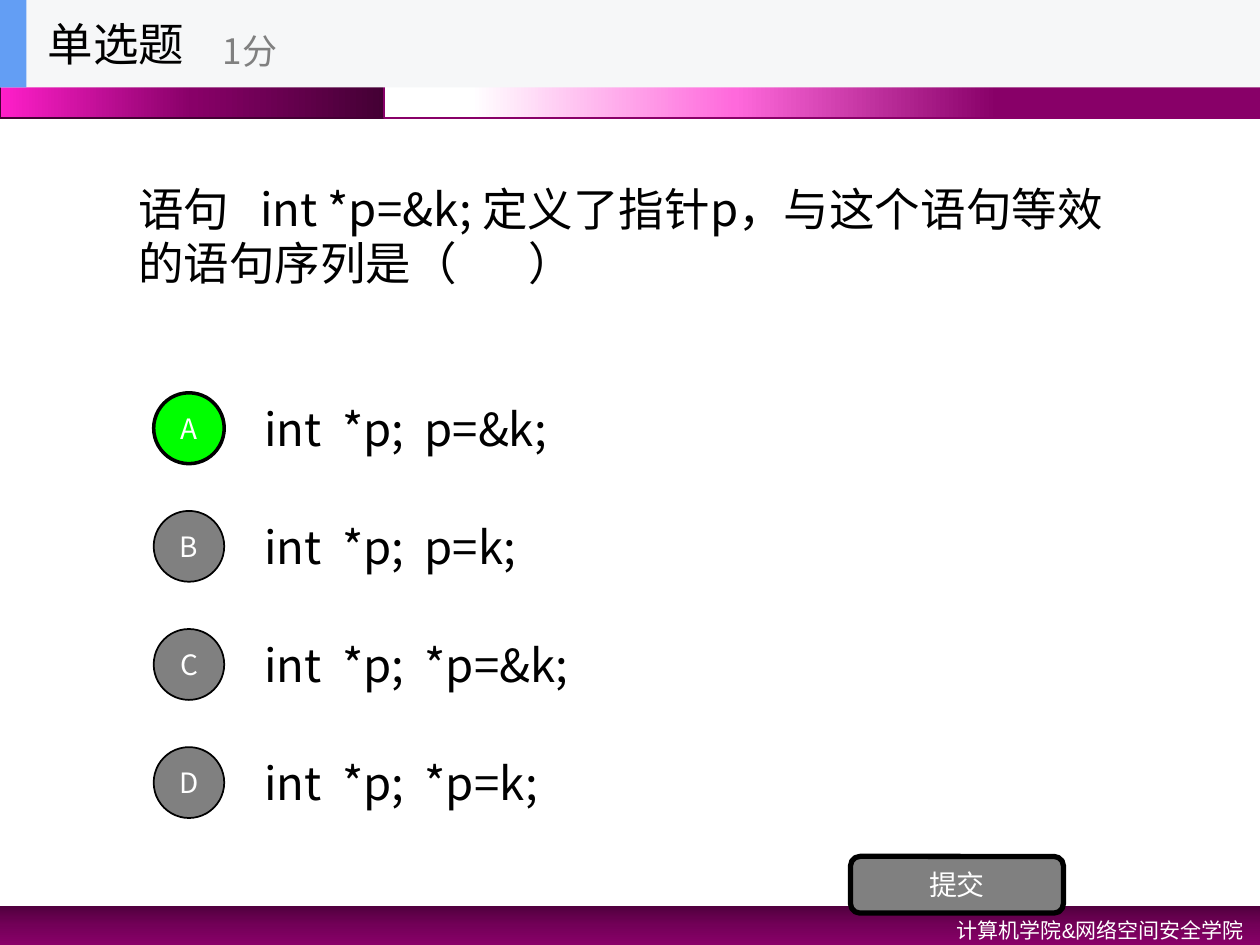
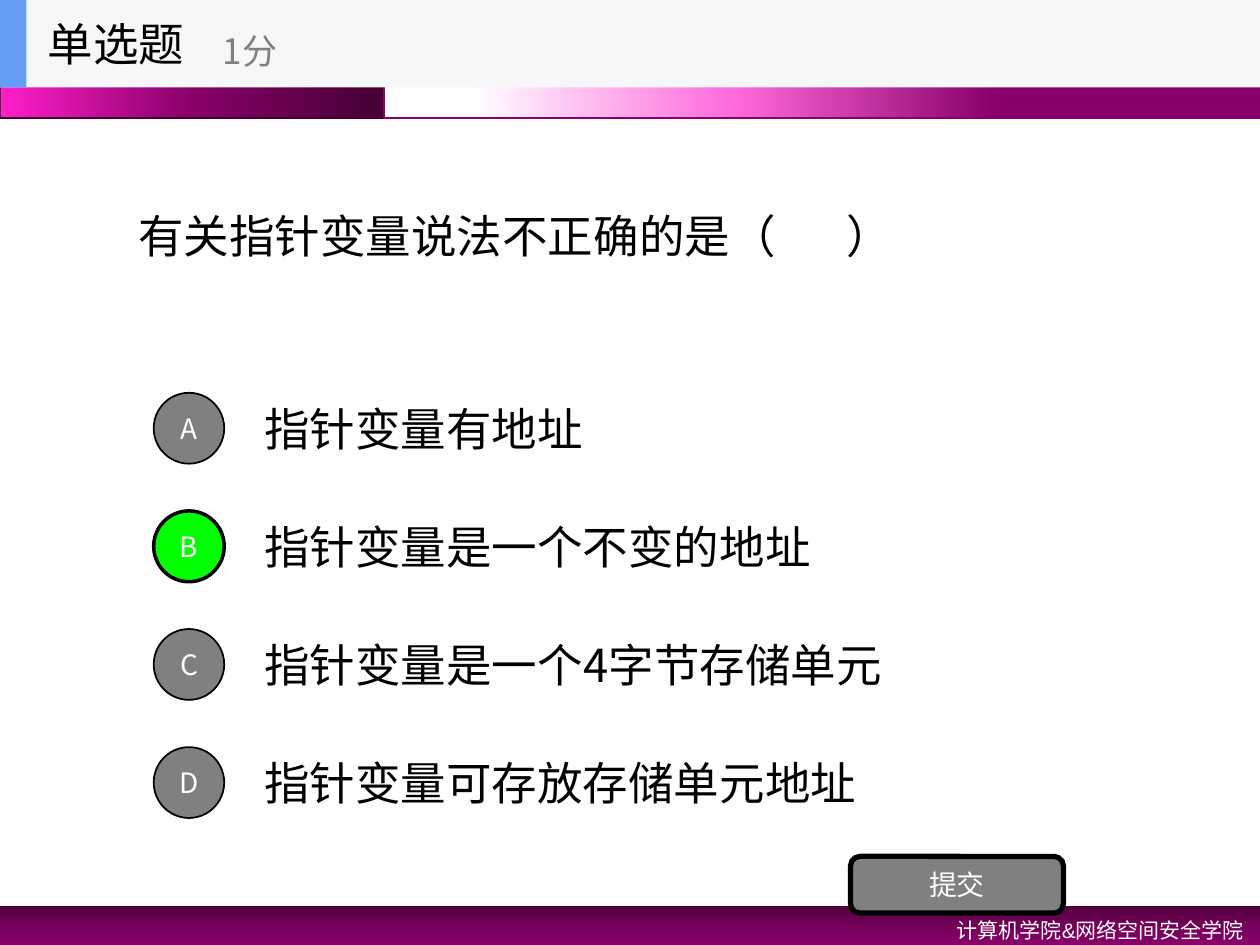
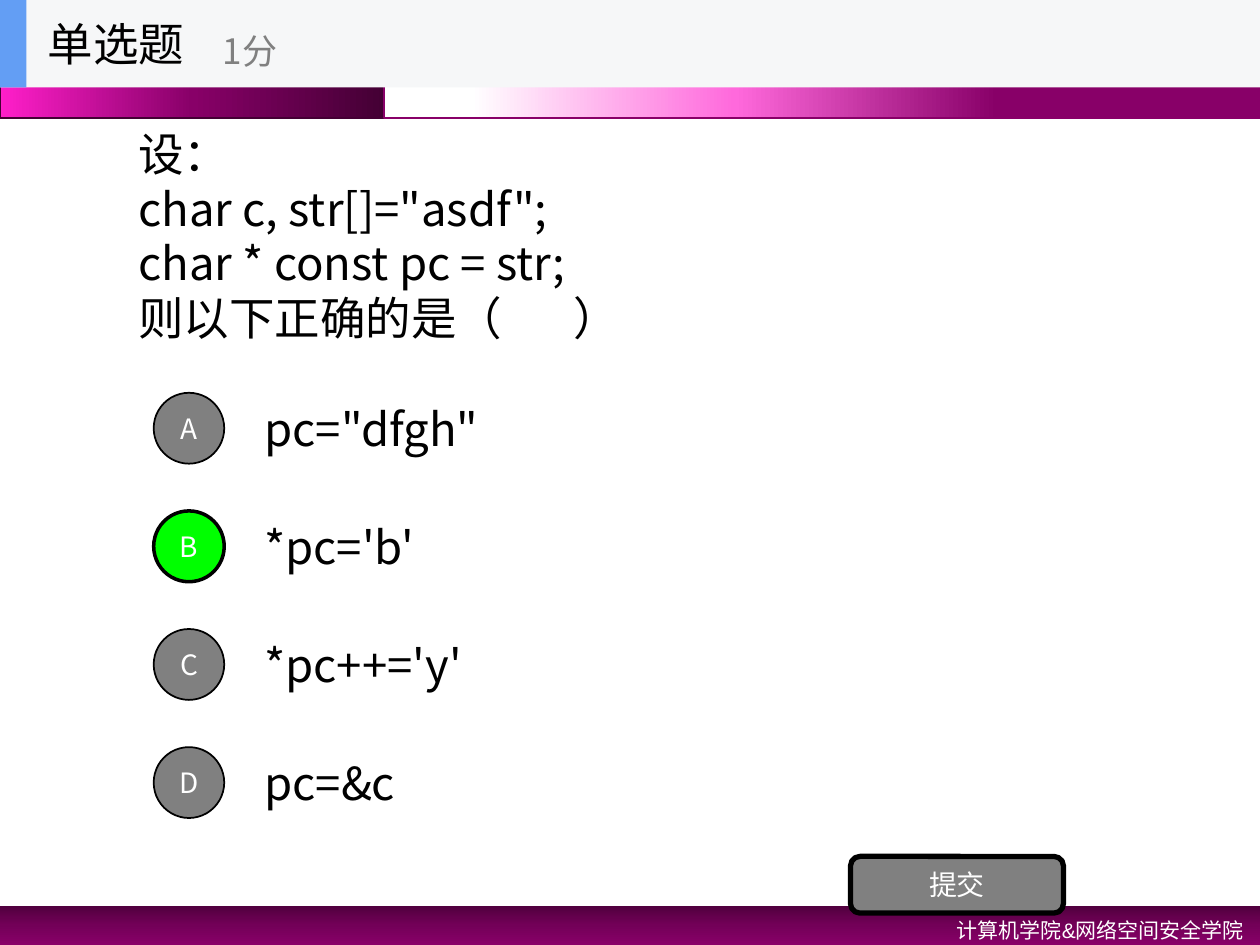
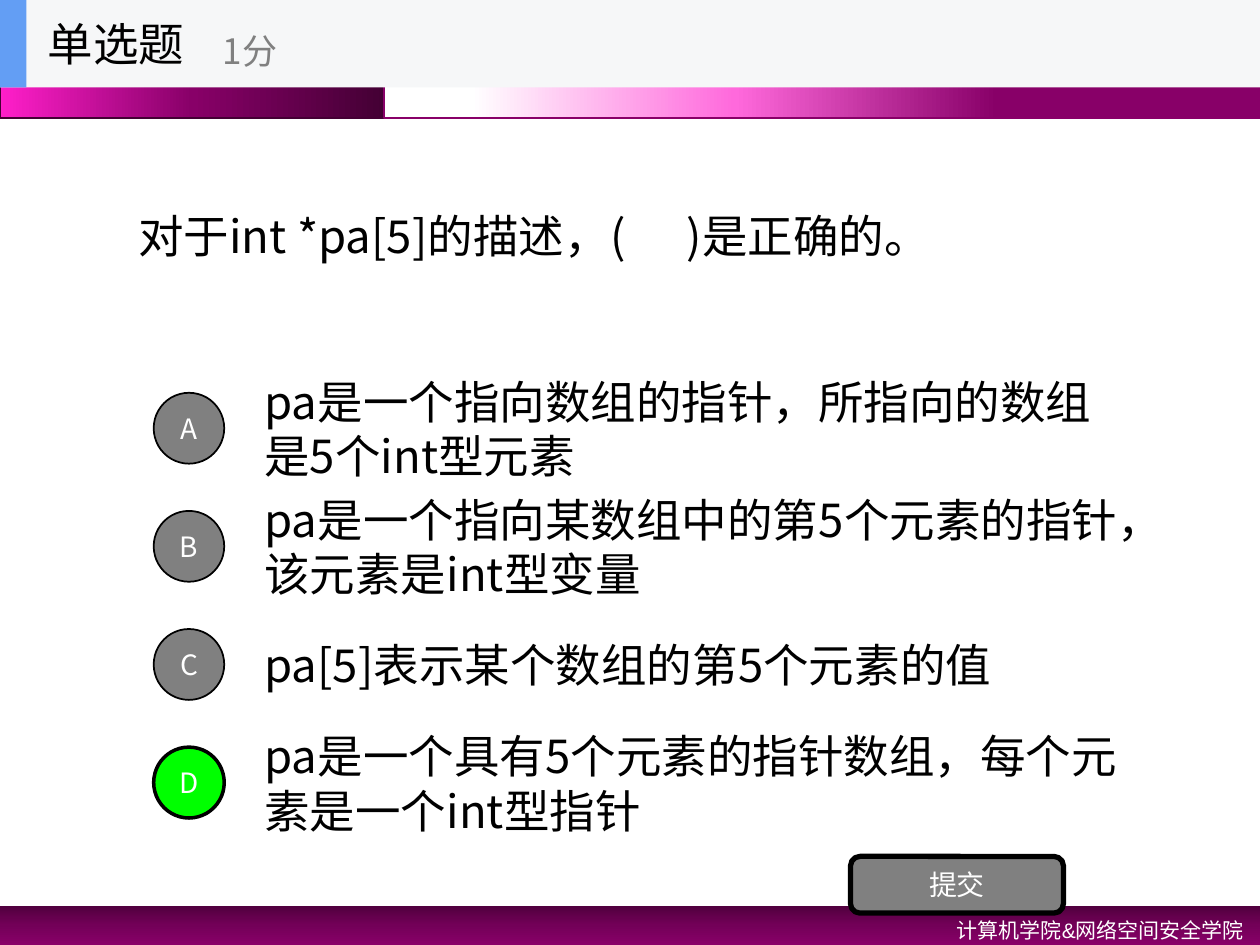
"""Builds four single-choice quiz slides about C pointers."""
from lxml.etree import SubElement
from pptx import Presentation
from pptx.dml.color import RGBColor
from pptx.enum.shapes import MSO_SHAPE
from pptx.enum.text import MSO_ANCHOR, MSO_AUTO_SIZE, PP_ALIGN
from pptx.oxml.ns import qn
from pptx.util import Inches, Pt

C = {
    "black": "000000", "white": "FFFFFF", "gray": "808080", "green": "00FF00",
    "header": "F6F7F8", "blue": "639EF4", "plum": "880068", "dark": "440034",
    "magenta": "FF1FCA", "pink": "FF69DC", "deep": "51003E", "mid": "730058",
}
FONT = "Noto Sans CJK SC"
QUESTIONS = [
    ("语句   int *p=&k; 定义了指针p，与这个语句等效的语句序列是（       ）", "A",
     ["int  *p;  p=&k;", "int  *p;  p=k;", "int  *p;  *p=&k;", "int  *p;  *p=k;"]),
    ("有关指针变量说法不正确的是（       ）", "B",
     ["指针变量有地址", "指针变量是一个不变的地址",
      "指针变量是一个4字节存储单元", "指针变量可存放存储单元地址"]),
    ("设：\nchar c, str[]=\"asdf\";\nchar * const pc = str;\n则以下正确的是（       ）", "B",
     ["pc=\"dfgh\"", "*pc='b'", "*pc++='y'", "pc=&c"]),
    ("对于int *pa[5]的描述，(      )是正确的。", "D",
     ["pa是一个指向数组的指针，所指向的数组是5个int型元素",
      "pa是一个指向某数组中的第5个元素的指针，该元素是int型变量",
      "pa[5]表示某个数组的第5个元素的值",
      "pa是一个具有5个元素的指针数组，每个元素是一个int型指针"]),
]

prs = Presentation()
prs.slide_width, prs.slide_height = Inches(10), Inches(7.5)
COL, ROW = prs.slide_width / 10, prs.slide_height / 8


def add_box(shapes, x, y, w, h, kind=MSO_SHAPE.RECTANGLE, fill=None, line=None, width=1, angle=180):
    """Adds a shape on the 10 by 8 grid; a list of fill stops makes a gradient."""
    at = int(x * COL), int(y * ROW), int(w * COL), int(h * ROW)
    if kind is None:
        return shapes.add_textbox(*at)
    sp = shapes.add_shape(kind, *at)
    sp.shadow.inherit = False
    if isinstance(fill, list):
        sp.fill.gradient()
        sp.fill.gradient_angle = 360 - angle
        stops = sp._element.spPr.find(".//" + qn("a:gsLst"))
        stops.clear()
        for pos, name in fill:
            gs = SubElement(stops, qn("a:gs"), pos=str(pos * 1000))
            SubElement(gs, qn("a:srgbClr"), val=C[name])
    else:
        sp.fill.solid()
        sp.fill.fore_color.rgb = RGBColor.from_string(C[fill])
    if line:
        sp.line.color.rgb = RGBColor.from_string(C[line])
        sp.line.width = Pt(width)
    else:
        sp.line.fill.background()
    return sp


def write(sp, text, size=26, color="black", font=FONT, align=PP_ALIGN.LEFT,
          anchor=MSO_ANCHOR.MIDDLE, wrap=True, spacing=None):
    """Fills a shape with text, one paragraph a line."""
    tf = sp.text_frame
    tf.word_wrap, tf.vertical_anchor = wrap, anchor
    for i, line in enumerate(text.split("\n")):
        p = tf.add_paragraph() if i else tf.paragraphs[0]
        p.alignment, p.line_spacing = align, spacing
        r = p.add_run()
        r.text = line
        r.font.size, r.font.name = Pt(size), font
        r.font.color.rgb = RGBColor.from_string(C[color])
        SubElement(r.font._element, qn("a:ea"), typeface=font)


for stem, answer, options in QUESTIONS:
    s = prs.slides.add_slide(prs.slide_layouts[6]).shapes

    add_box(s, 0, 7.67, 10, 0.33, fill=[(0, "deep"), (50, "mid"), (100, "plum")], angle=90)
    add_box(s, 0, 0, 3.05, 1, fill=[(0, "dark"), (50, "plum"), (100, "magenta")], line="dark")
    add_box(s, 3.05, 0, 6.95, 1, fill=[(30, "plum"), (60, "pink"), (90, "white")], line="plum")
    footer = add_box(s, 6.42, 7.67, 3.55, 0.34, kind=None)
    write(footer, "计算机学院&网络空间安全学院", size=12, color="white", font="Arial",
          align=PP_ALIGN.RIGHT, anchor=MSO_ANCHOR.TOP, spacing=1.2)
    footer.text_frame.auto_size = MSO_AUTO_SIZE.SHAPE_TO_FIT_TEXT

    write(add_box(s, 1, 0.74, 8, 2.5, kind=None), stem)
    for i, option in enumerate(options):
        write(add_box(s, 2, 3.25 + i, 7, 0.75, kind=None), option)
    for i, letter in enumerate("ABCD"):
        right = letter == answer
        badge = add_box(s, 1.22, 3.325 + i, 0.56, 0.6, kind=MSO_SHAPE.OVAL,
                        fill="green" if right else "gray", line="black", width=2 if right else 1)
        write(badge, letter, size=16, color="white", align=PP_ALIGN.CENTER)
    submit = add_box(s, 6.75, 7.25, 1.69, 0.48, kind=MSO_SHAPE.ROUNDED_RECTANGLE,
                     fill="gray", line="black", width=3)
    write(submit, "提交", size=16, color="white", align=PP_ALIGN.CENTER)

    header = s.add_group_shape().shapes
    add_box(header, 0, 0, 10, 0.74, fill="header")
    add_box(header, 0, 0, 0.21, 0.74, fill="blue")
    write(add_box(header, 0.28, 0, 2.08, 0.74, kind=None), "单选题", wrap=False)
    write(add_box(header, 1.67, 0.13, 2.5, 0.6, kind=None), "1分", size=20, color="gray", wrap=False)

prs.save("out.pptx")
